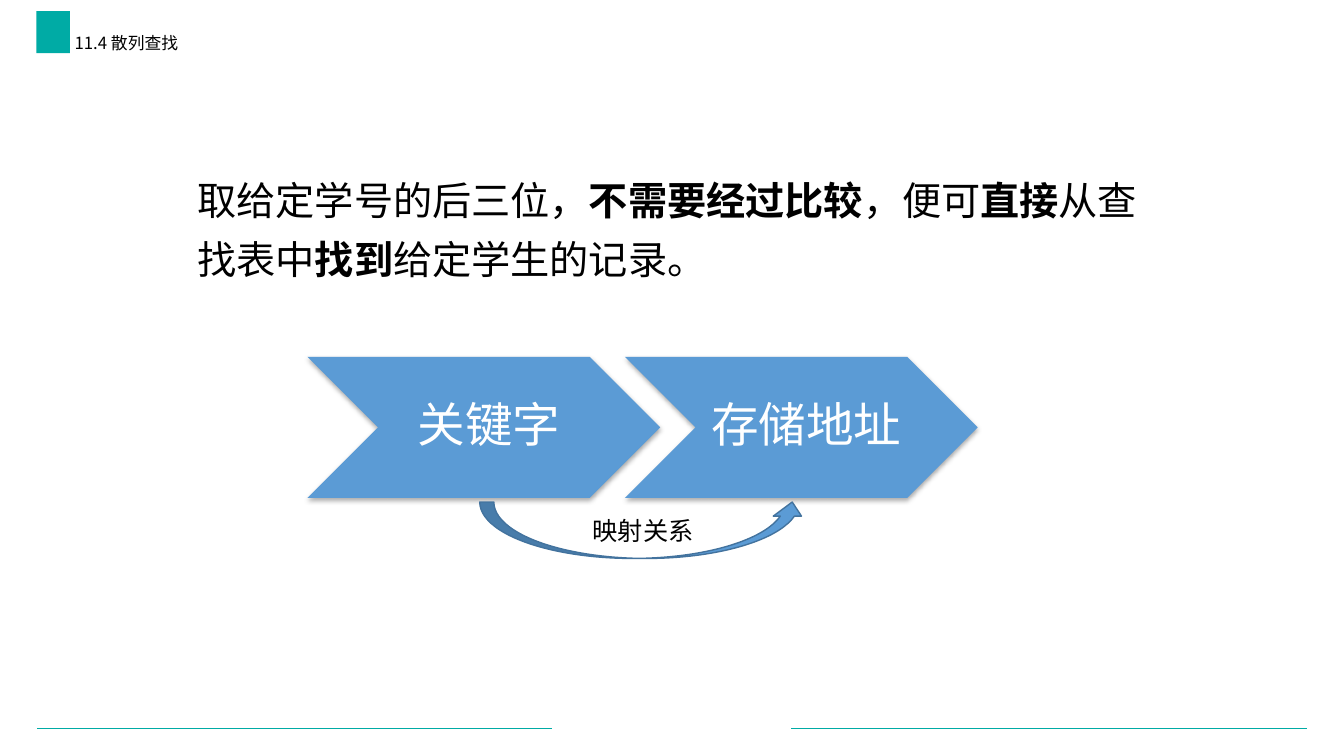
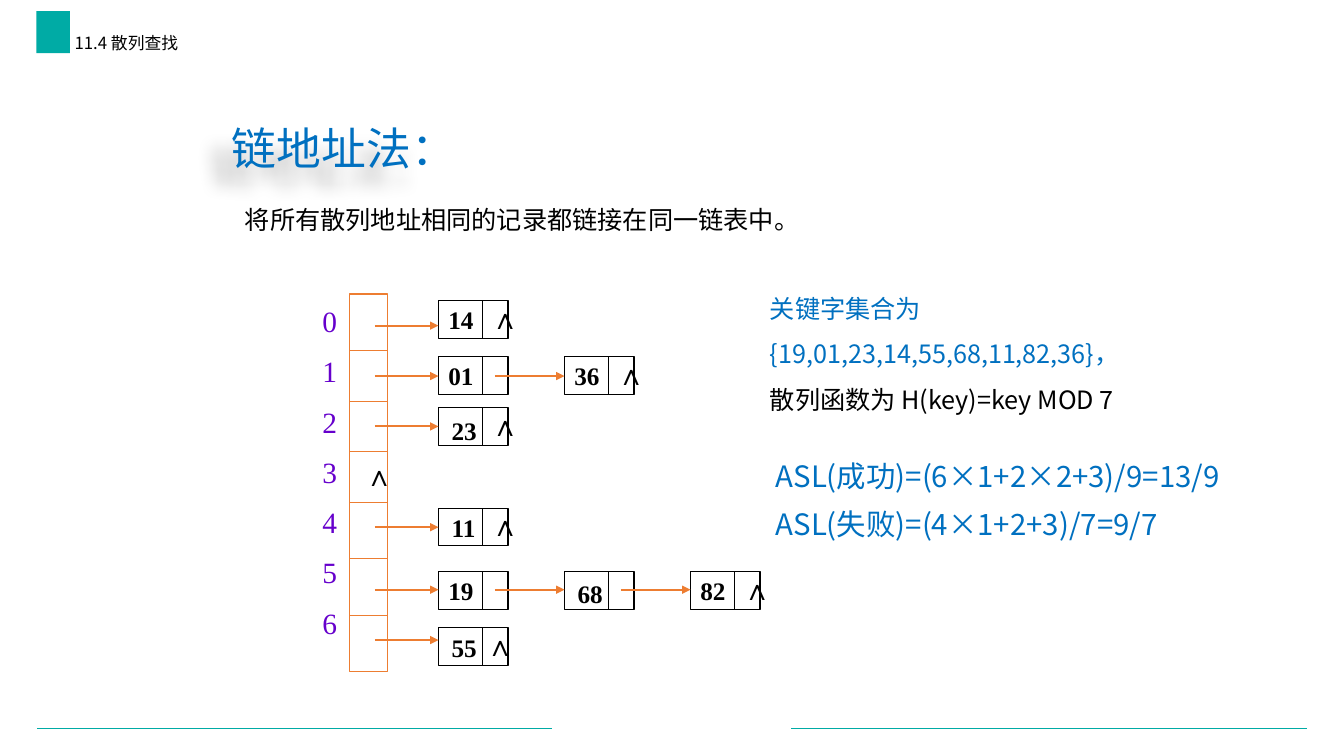
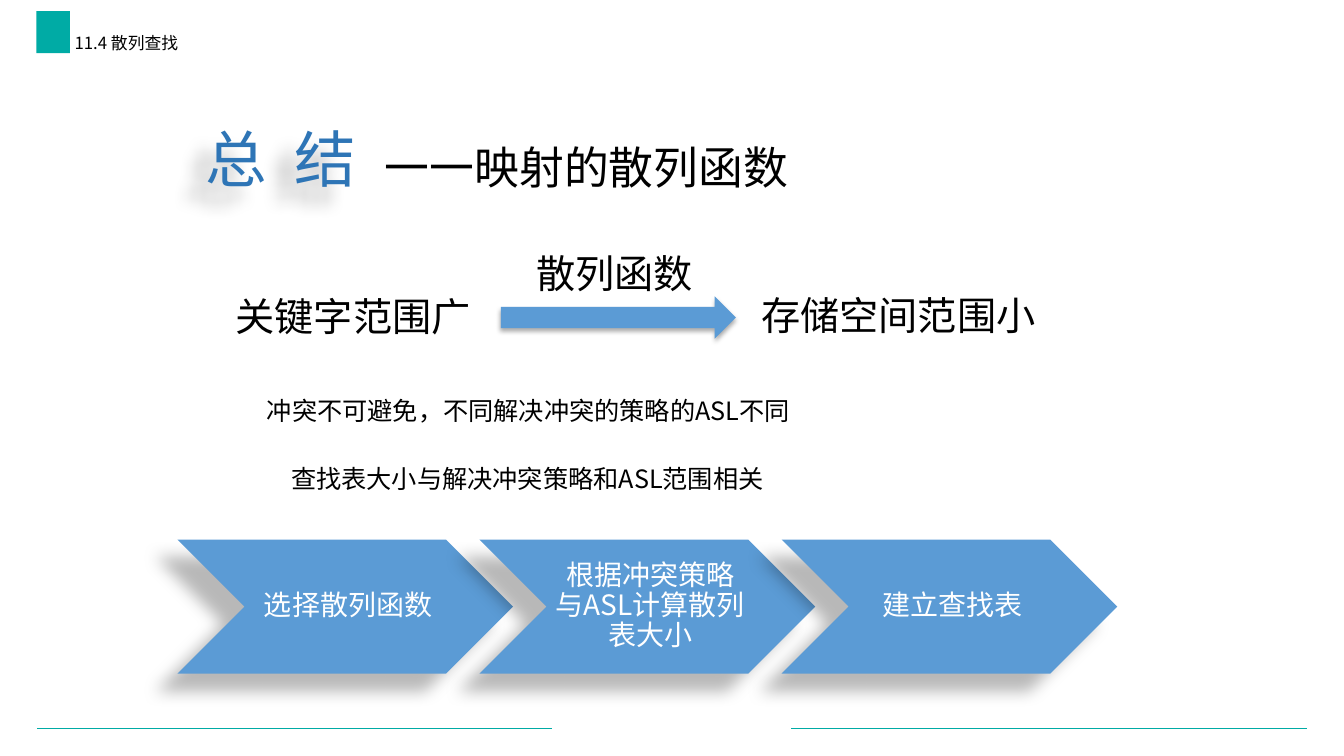
from dataclasses import dataclass, replace
from typing import Sequence

from lxml.etree import SubElement
from pptx import Presentation
from pptx.dml.color import RGBColor as Rgb
from pptx.enum.shapes import MSO_CONNECTOR as Link, MSO_SHAPE as Preset
from pptx.enum.text import MSO_ANCHOR as Anchor, MSO_AUTO_SIZE as AutoSize, PP_ALIGN as Align
from pptx.oxml.ns import qn
from pptx.util import Pt


@dataclass(frozen=True)
class Theme:
    sans: str = "Noto Sans CJK SC"
    serif: str = "Times New Roman"
    black: str = "000000"
    white: str = "FFFFFF"
    teal: str = "00ABA5"
    blue: str = "5B9BD5"
    edge_blue: str = "43739E"
    heading_blue: str = "0070C0"
    summary_blue: str = "2E75B6"
    orange: str = "ED7D31"
    purple: str = "6600CC"
    label: int = 12
    body: int = 18
    step: int = 20
    symbol: int = 21
    lead: int = 28
    heading: int = 32
    chevron: int = 34
    summary: int = 44


THEME = Theme()


@dataclass(frozen=True)
class Style:
    size: int
    color: str = THEME.black
    font: str = THEME.sans
    bold: bool = False
    align: Align = Align.LEFT
    spacing: float = 1.0
    before: float = 0
    tracking: float = 0


@dataclass(frozen=True)
class Span:
    text: str
    bold: bool = False


@dataclass(frozen=True)
class Line:
    style: Style
    spans: Sequence[Span]


@dataclass(frozen=True)
class Area:
    left: float
    top: float
    width: float
    height: float

    def lengths(self) -> tuple:
        return Pt(self.left), Pt(self.top), Pt(self.width), Pt(self.height)


@dataclass(frozen=True)
class Shadow:
    alpha: int
    blur: float
    distance: float
    angle: int


@dataclass(frozen=True)
class Node:
    key: str
    shift_x: float = 0
    shift_y: float = 0


@dataclass(frozen=True)
class Chain:
    top: float
    arrow_y: float
    nodes: Sequence[Node]
    end_shift: float = 0


@dataclass(frozen=True)
class Caption:
    text: str
    area: Area
    size: int
    color: str = THEME.black
    spacing: float = 1.0


SOFT_SHADOW = Shadow(32, 3.5, 2.2, 90)
DEEP_SHADOW = Shadow(28, 11.8, 19.7, 141)
KEY_STYLE = Style(THEME.body, font=THEME.serif, bold=True)
END_STYLE = Style(THEME.symbol, font=THEME.serif, bold=True)
NODE_LEFT, NODE_PITCH = 313.2, 90
NODE_WIDTH, NODE_HEIGHT, KEY_WIDTH = 49.7, 27, 31.7
BUCKETS = Area(250, 210, 27, 270)
DIVIDERS = (250.6, 286.6, 322.6, 358.6, 398.9, 439.5)
CHAINS = (
    Chain(214.6, 232.6, (Node("14"),)),
    Chain(254.9, 268.6, (Node("01"), Node("36"))),
    Chain(290.9, 304.6, (Node("23", 2.2, 3),)),
    Chain(362.9, 376.6, (Node("11", 2.2, 0.5),)),
    Chain(408.2, 421.2, (Node("19"), Node("68", 2.2, 2.5), Node("82"))),
    Chain(448.2, 457.2, (Node("55", 2.2, 1),), -3.6),
)


def plain(style: Style, text: str) -> Line:
    return Line(style, (Span(text),))


def write(shape, lines: Sequence[Line], anchor: Anchor = Anchor.TOP, wrap: bool = True) -> None:
    frame = shape.text_frame
    frame.word_wrap = wrap
    frame.auto_size = AutoSize.NONE
    frame.vertical_anchor = anchor
    for index, line in enumerate(lines):
        para = frame.add_paragraph() if index else frame.paragraphs[0]
        style = line.style
        para.alignment = style.align
        para.line_spacing = style.spacing
        para.space_before = Pt(style.before)
        font = para.font
        font.size = Pt(style.size)
        font.bold = style.bold
        font.color.rgb = Rgb.from_string(style.color)
        font.name = style.font
        SubElement(font._rPr, qn("a:ea"), typeface=style.font)
        if style.tracking:
            font._rPr.set("spc", str(int(style.tracking * 100)))
        for span in line.spans:
            run = para.add_run()
            run.text = span.text
            if span.bold:
                run.font.bold = True


def add_text(page, area: Area, lines: Sequence[Line], wrap: bool = True) -> None:
    write(page.shapes.add_textbox(*area.lengths()), lines, wrap=wrap)


def add_captions(page, captions: Sequence[Caption]) -> None:
    for caption in captions:
        style = Style(caption.size, caption.color, spacing=caption.spacing)
        add_text(page, caption.area, [plain(style, caption.text)])


def cast_shadow(shape, shadow: Shadow) -> None:
    shape.shadow.inherit = False
    effects = shape._element.spPr.find(qn("a:effectLst"))
    outer = SubElement(
        effects, qn("a:outerShdw"), blurRad=str(Pt(shadow.blur)), dist=str(Pt(shadow.distance)),
        dir=str(shadow.angle * 60000), algn="ctr", rotWithShape="0")
    color = SubElement(outer, qn("a:srgbClr"), val=THEME.black)
    SubElement(color, qn("a:alpha"), val=str(shadow.alpha * 1000))


def add_shape(page, preset: Preset, area: Area, fill: str = "", edge: str = "", weight: float = 0.75):
    shape = page.shapes.add_shape(preset, *area.lengths())
    shape.shadow.inherit = False
    if fill:
        shape.fill.solid()
        shape.fill.fore_color.rgb = Rgb.from_string(fill)
    else:
        shape.fill.background()
    if edge:
        shape.line.color.rgb = Rgb.from_string(edge)
        shape.line.width = Pt(weight)
    else:
        shape.line.fill.background()
    return shape


def add_line(page, start: tuple[float, float], end: tuple[float, float], color: str,
             weight: float = 0.75, arrow: bool = False) -> None:
    line = page.shapes.add_connector(Link.STRAIGHT, *map(Pt, start + end))
    line.line.color.rgb = Rgb.from_string(color)
    line.line.width = Pt(weight)
    properties = line._element.spPr
    if arrow:
        SubElement(properties.find(qn("a:ln")), qn("a:tailEnd"), type="triangle")
    SubElement(properties, qn("a:effectLst"))


def add_chevrons(page, first: Area, pitch: float, size: int, texts: Sequence[str],
                 shadow: Shadow, inset: float) -> None:
    style = Style(size, THEME.white, align=Align.CENTER, spacing=0.9)
    for index, text in enumerate(texts):
        area = replace(first, left=first.left + index * pitch)
        chevron = add_shape(page, Preset.CHEVRON, area, THEME.blue)
        cast_shadow(chevron, shadow)
        frame = chevron.text_frame
        frame.margin_left = Pt(inset * 3)
        frame.margin_right = frame.margin_top = frame.margin_bottom = Pt(inset)
        write(chevron, [plain(style, text)], Anchor.MIDDLE)


def place(holder, area: Area) -> None:
    holder.left, holder.top, holder.width, holder.height = area.lengths()


def add_page(deck, title: Line, area: Area, anchor: Anchor = Anchor.TOP):
    page = deck.slides.add_slide(deck.slide_layouts[0])
    for left, right in ((26.6, 394.6), (565.2, 933.8)):
        add_line(page, (left, 520), (right, 520), THEME.teal, 0.5)
    add_shape(page, Preset.RECTANGLE, Area(26, 8, 24, 30), THEME.teal)

    place(page.shapes.title, area)
    write(page.shapes.title, [title], anchor)
    section = page.placeholders[1]
    place(section, Area(46.1, 21.6, 383, 25.9))
    write(section, [plain(Style(THEME.label, spacing=0.9), "11.4 散列查找")])
    return page


def build_mapping(deck) -> None:
    statement = Line(Style(THEME.lead, spacing=1.25), (
        Span("取给定学号的后三位，"), Span("不需要经过比较", True), Span("，便可"),
        Span("直接", True), Span("从查找表中"), Span("找到", True), Span("给定学生的记录。")))
    page = add_page(deck, statement, Area(133.9, 113.8, 693.4, 92.2))
    add_chevrons(page, Area(219.6, 254.9, 252, 100.8), 226.8, THEME.chevron,
                 ("关键字", "存储地址"), SOFT_SHADOW, 3.6)
    mapping = add_shape(page, Preset.CURVED_UP_ARROW, Area(342.7, 358.6, 233.3, 40.3),
                        THEME.blue, THEME.edge_blue, 1)
    write(mapping, [plain(Style(THEME.body, align=Align.CENTER), "映射关系")], Anchor.MIDDLE)


def add_end_mark(page, left: float, top: float) -> None:
    add_text(page, Area(left, top, 27.4, 32.4), [plain(END_STYLE, "∧")], wrap=False)


def add_chain(page, chain: Chain) -> None:
    for index, node in enumerate(chain.nodes):
        left = NODE_LEFT + index * NODE_PITCH
        cell = add_shape(page, Preset.RECTANGLE, Area(left, chain.top, NODE_WIDTH, NODE_HEIGHT),
                         edge=THEME.black)
        frame = cell.text_frame
        frame.margin_left = Pt(7.2 + node.shift_x)
        frame.margin_top = Pt(2 * node.shift_y)
        frame.margin_bottom = Pt(0)
        write(cell, [plain(KEY_STYLE, node.key)], Anchor.MIDDLE, wrap=False)
        split = left + KEY_WIDTH
        add_line(page, (split, chain.top), (split, chain.top + NODE_HEIGHT), THEME.black)
        reach = 49.7 if index else 45.4
        add_line(page, (left - reach, chain.arrow_y), (left, chain.arrow_y),
                 THEME.orange, 1.5, arrow=True)
    add_end_mark(page, left + 30.2 + chain.end_shift, chain.top - 4)


def build_chaining(deck) -> None:
    title = plain(Style(THEME.heading, THEME.heading_blue), "链地址法：")
    page = add_page(deck, title, Area(158.4, 82.8, 201.6, 46.1))
    cast_shadow(page.shapes.title, DEEP_SHADOW)

    add_shape(page, Preset.RECTANGLE, BUCKETS, edge=THEME.orange)
    for divider in DIVIDERS:
        add_line(page, (BUCKETS.left, divider), (BUCKETS.left + BUCKETS.width, divider),
                 THEME.orange)
    index_style = Style(THEME.symbol, THEME.purple, THEME.serif, before=10.7)
    add_text(page, Area(223.2, 213.1, 31.7, 262.1),
             [plain(index_style, str(index)) for index in range(7)])
    for chain in CHAINS:
        add_chain(page, chain)
    add_end_mark(page, 253.4, 323.3)

    blue = Style(THEME.body, THEME.heading_blue, spacing=1.5)
    add_text(page, Area(542.9, 195.1, 311.8, 105.1), [
        plain(blue, "关键字集合为"),
        plain(blue, "{19,01,23,14,55,68,11,82,36}，"),
        plain(replace(blue, color=THEME.black), "散列函数为 H(key)=key MOD 7"),
    ])
    add_captions(page, (
        Caption("将所有散列地址相同的记录都链接在同一链表中。",
                Area(167.8, 138.2, 550, 31), THEME.body, spacing=1.2),
        Caption("ASL(成功)=(6×1+2×2+3)/9=13/9", Area(547, 323.8, 360, 32.4),
                THEME.symbol, THEME.heading_blue),
        Caption("ASL(失败)=(4×1+2+3)/7=9/7", Area(547, 358, 360, 32.4),
                THEME.symbol, THEME.heading_blue),
    ))


def build_summary(deck) -> None:
    style = Style(THEME.summary, THEME.summary_blue, align=Align.CENTER, spacing=0.9, tracking=5)
    page = add_page(deck, plain(style, "总 结"), Area(108.7, 96.8, 183.6, 46.8), Anchor.BOTTOM)
    cast_shadow(page.shapes.title, DEEP_SHADOW)
    arrow = add_shape(page, Preset.RIGHT_ARROW, Area(357.8, 211.7, 167.8, 30.2), THEME.blue)
    cast_shadow(arrow, SOFT_SHADOW)
    add_captions(page, (
        Caption("一一映射的散列函数", Area(267.8, 96.5, 320, 46), THEME.heading),
        Caption("关键字范围广", Area(161.3, 205.2, 190, 41), THEME.lead),
        Caption("存储空间范围小", Area(536.8, 204.5, 220, 41), THEME.lead),
        Caption("散列函数", Area(375.8, 174.6, 135, 41), THEME.lead),
        Caption("冲突不可避免，不同解决冲突的策略的ASL不同",
                Area(183.6, 278.6, 518.4, 36), THEME.body),
        Caption("查找表大小与解决冲突策略和ASL范围相关",
                Area(200.9, 327.6, 470.2, 36), THEME.body),
    ))
    add_chevrons(page, Area(126.7, 385.4, 239.8, 95.8), 215.8, THEME.step,
                 ("选择散列函数", "根据冲突策略与ASL计算散列表大小", "建立查找表"),
                 DEEP_SHADOW, 2.1)


def main() -> None:
    deck = Presentation()
    deck.slide_width, deck.slide_height = Pt(960), Pt(540)
    build_mapping(deck)
    build_chaining(deck)
    build_summary(deck)
    deck.save("out.pptx")


if __name__ == "__main__":
    main()
